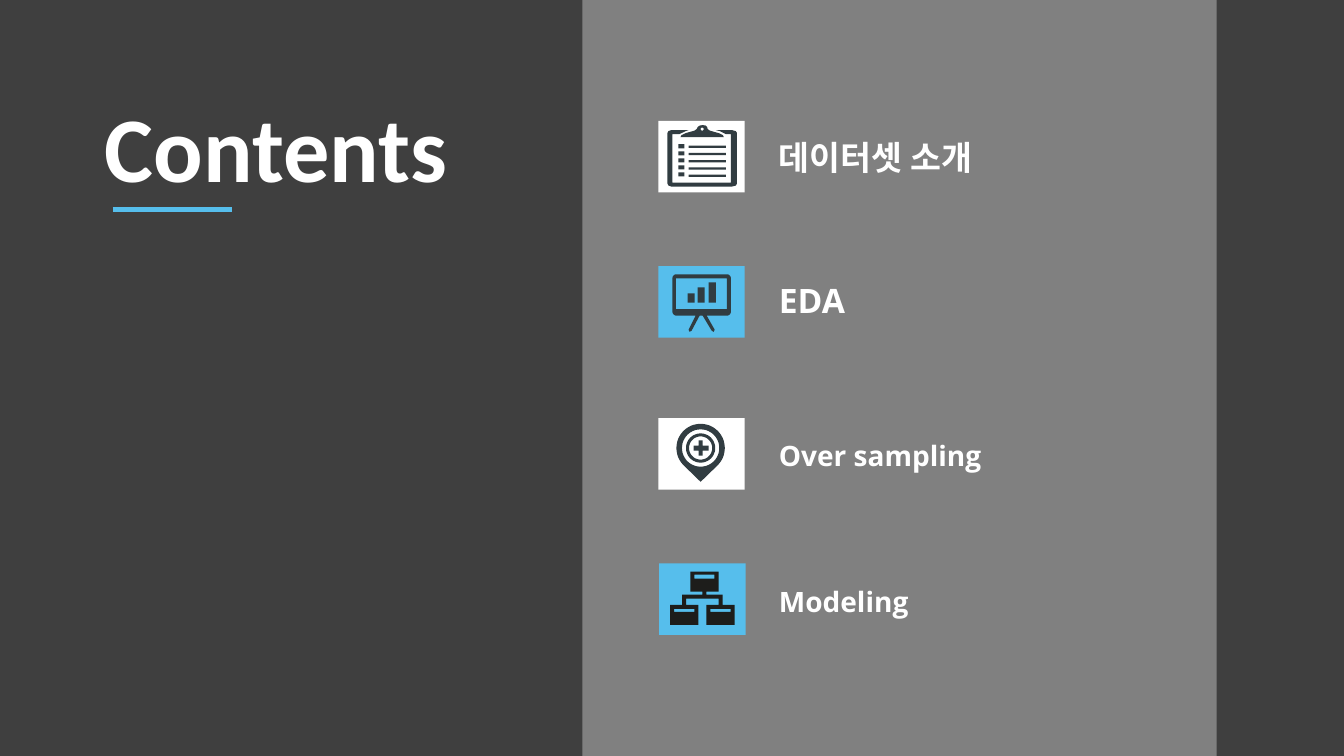
from math import cos, radians, sin

from lxml import etree
from pptx import Presentation
from pptx.dml.color import RGBColor
from pptx.enum.shapes import MSO_CONNECTOR, MSO_SHAPE
from pptx.enum.text import MSO_ANCHOR, MSO_AUTO_SIZE, PP_ALIGN
from pptx.oxml.ns import qn
from pptx.util import Cm, Pt

RECTANGLE = MSO_SHAPE.RECTANGLE
STRAIGHT = MSO_CONNECTOR.STRAIGHT
MIDDLE = MSO_ANCHOR.MIDDLE
LEFT = PP_ALIGN.LEFT
FIXED_SIZE, GROW = MSO_AUTO_SIZE.NONE, MSO_AUTO_SIZE.SHAPE_TO_FIT_TEXT

CHARCOAL = RGBColor(0x3F, 0x3F, 0x3F)
GREY = RGBColor(0x80, 0x80, 0x80)
WHITE = RGBColor(0xFF, 0xFF, 0xFF)
SKY = RGBColor(0x56, 0xBE, 0xEC)
SLATE = RGBColor(0x31, 0x3C, 0x41)
INK = RGBColor(0x1D, 0x1D, 0x1B)

# Icon outlines count in hundredths of an inch from the tile's corner
ICON_UNIT = Cm(2.54) / 100
FINE_STEPS = 10


def rect(left, top, right, bottom):
    return [(left, top), (right, top), (right, bottom), (left, bottom)]


def arc(x, y, radius, start=0, end=360, step=5):
    return [(x + radius * cos(radians(angle)), y + radius * sin(radians(angle)))
            for angle in range(start, end + 1, step)]


def rounded(left, top, right, bottom, radius):
    return (arc(right - radius, bottom - radius, radius, 0, 90, 15)
            + arc(left + radius, bottom - radius, radius, 90, 180, 15)
            + arc(left + radius, top + radius, radius, 180, 270, 15)
            + arc(right - radius, top + radius, radius, 270, 360, 15))


CLIPBOARD = [
    [(73, 9), (57, 9), (61, 10), (67, 13), (72, 13), (72, 61), (14, 61), (14, 13),
     (21, 13), (27, 10), (30, 9), (13, 9), (10, 10), (9, 12), (9, 62), (10, 64),
     (13, 65), (73, 65), (77, 64), (78, 62), (78, 12), (77, 10)],
    [(22, 16), (23, 14), (27, 12), (36, 9.5), (38, 8), (39, 6), (41, 4.5), (44, 4),
     (47, 4.5), (48.5, 6), (49, 8), (51, 9.5), (60, 12), (64, 14), (65, 16)],
    arc(43.5, 8, 1.5),
    *[rect(20, 23 + 7 * row, 26, 27 + 7 * row) for row in range(5)],
    *[rect(30, 24.3 + 7.2 * row, 67, 26.6 + 7.2 * row) for row in range(5)],
]
CHART_BOARD = [
    rounded(14, 8, 72, 49, 4),
    rect(17.5, 12, 68, 42.5),
    rect(29, 27, 36, 36),
    rect(39, 21, 46, 36),
    rect(50, 16, 57, 36),
    [(37, 49), (30, 63), (31, 65), (33, 64), (41, 49)],
    [(44, 49), (53, 64), (55, 65), (56, 63), (48, 49)],
]
MAP_PIN = [
    arc(42, 29.5, 24, 135, 405) + [(42, 63)],
    *[arc(42, 29.5, radius) for radius in (18.5, 14.5, 11.5)],
    [(44, 27), (50, 27), (50, 32), (44, 32), (44, 37), (40, 37),
     (40, 32), (35, 32), (35, 27), (40, 27), (40, 22), (44, 22)],
]
NETWORK = [
    [(63, 41), (63, 31), (47, 31), (47, 28), (59, 28), (59, 8), (31, 8), (31, 28),
     (43, 28), (43, 31), (23, 31), (23, 41), (11, 41), (11, 61), (39, 61), (39, 41),
     (27, 41), (27, 35), (59, 35), (59, 41), (47, 41), (47, 61), (75, 61), (75, 41)],
    rect(15, 45, 35, 48),
    rect(35, 11, 55, 15),
    rect(51, 45, 71, 48),
]

TITLE = "Contents"
# label, size, label top, tile left, tile top, tile colour, icon, icon colour
TOPICS = [
    ("데이터셋 소개", 24, 3.4, 16.59, 3.05, WHITE, CLIPBOARD, SLATE),
    ("EDA", 24, 7.01, 16.59, 6.71, SKY, CHART_BOARD, SLATE),
    ("Over sampling", 20, 10.82, 16.59, 10.54, WHITE, MAP_PIN, SLATE),
    ("Modeling", 20, 14.5, 16.61, 14.2, SKY, NETWORK, INK),
]


def paint(shape, color):
    shape.shadow.inherit = False
    shape.fill.solid()
    shape.fill.fore_color.rgb = color
    shape.line.fill.background()


def add_block(shapes, left, top, width, height, color):
    block = shapes.add_shape(RECTANGLE, Cm(left), Cm(top), Cm(width), Cm(height))
    paint(block, color)


def add_icon(shapes, left, top, outlines, color):
    """Draw all outlines as one shape, where inner outlines cut holes."""
    fine = [[(x * FINE_STEPS, y * FINE_STEPS) for x, y in outline] for outline in outlines]
    builder = shapes.build_freeform(*fine[0][0], scale=ICON_UNIT / FINE_STEPS)
    for number, outline in enumerate(fine):
        if number:
            builder.move_to(*outline[0])
        builder.add_line_segments(outline[1:], close=True)
    paint(builder.convert_to_shape(Cm(left), Cm(top)), color)


def write(box, text, font_name, size, frame_format, para_format):
    frame = box.text_frame
    frame.text = text
    para = frame.paragraphs[0]
    font_format = {"name": font_name, "size": Pt(size), "bold": True}
    for target, values in ((frame, frame_format), (para, para_format),
                           (para.runs[0].font, font_format)):
        for name, value in values.items():
            setattr(target, name, value)
    para.runs[0].font.color.rgb = WHITE


def main():
    deck = Presentation()
    deck.slide_width, deck.slide_height = Cm(33.87), Cm(19.05)
    slide = deck.slides.add_slide(deck.slide_layouts[5])
    slide.background.fill.solid()
    slide.background.fill.fore_color.rgb = CHARCOAL
    shapes = slide.shapes

    title = shapes.title
    title.left, title.top, title.width, title.height = Cm(2.39), Cm(2.59), Cm(10.74), Cm(2.49)
    write(title, TITLE, "Calibri", 66,
          {"word_wrap": True, "auto_size": FIXED_SIZE, "vertical_anchor": MIDDLE},
          {"alignment": LEFT, "line_spacing": 0.9})

    underline = shapes.add_connector(STRAIGHT, Cm(2.84), Cm(5.28), Cm(5.84), Cm(5.28))
    underline.line.color.rgb = SKY
    underline.line.width = Pt(3.5)
    etree.SubElement(underline._element.spPr, qn("a:effectLst"))

    add_block(shapes, 14.68, 0, 15.98, 19.05, GREY)
    for label, size, label_top, left, top, tile_color, icon, icon_color in TOPICS:
        add_block(shapes, left, top, 2.18, 1.8, tile_color)
        add_icon(shapes, left, top, icon, icon_color)
        box = shapes.add_textbox(Cm(19.38), Cm(label_top), Cm(5.89), Cm(1.2))
        write(box, label, "Open Sans", size,
              {"word_wrap": True, "auto_size": GROW}, {"line_spacing": Pt(26.8)})

    deck.save("out.pptx")


if __name__ == "__main__":
    main()
